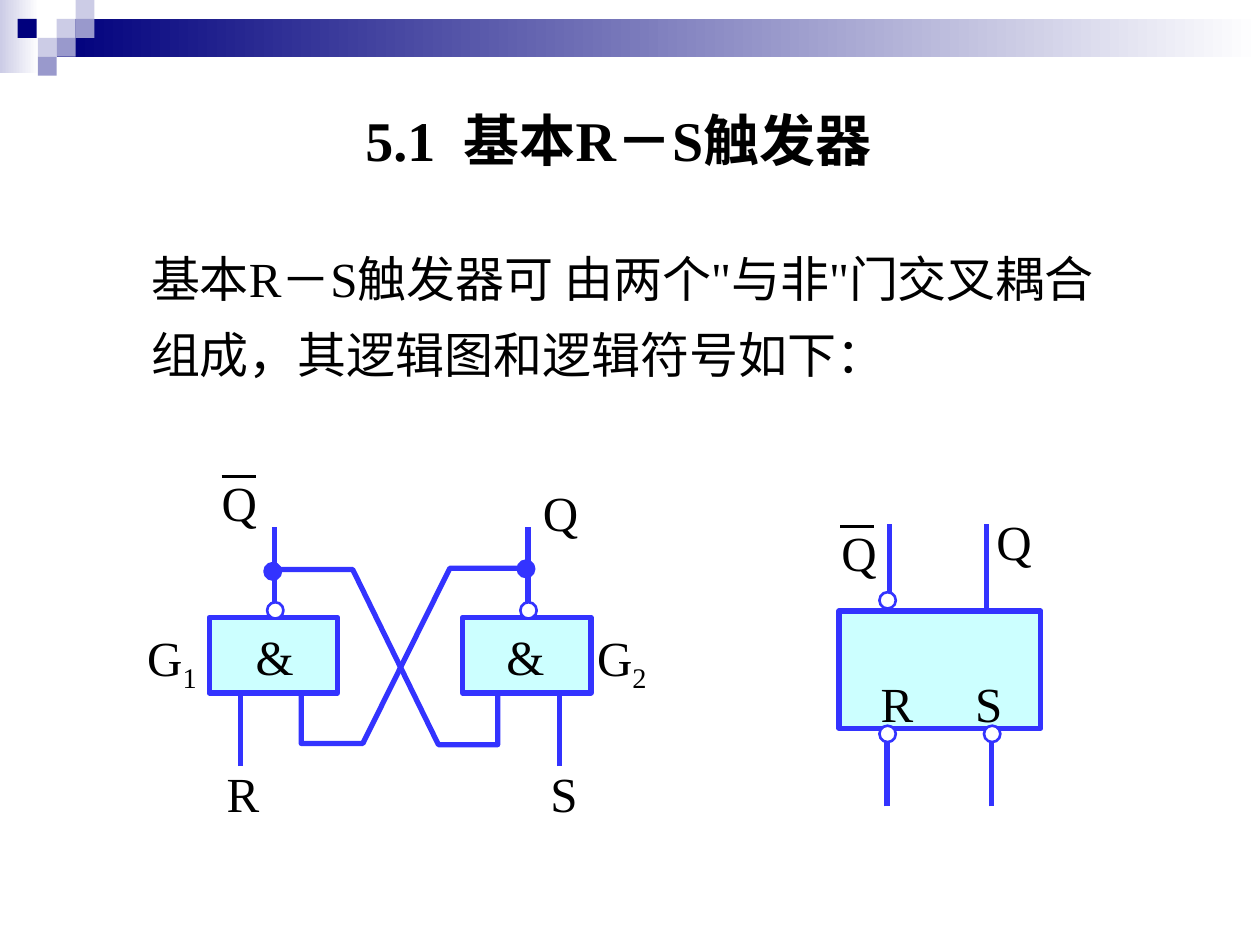
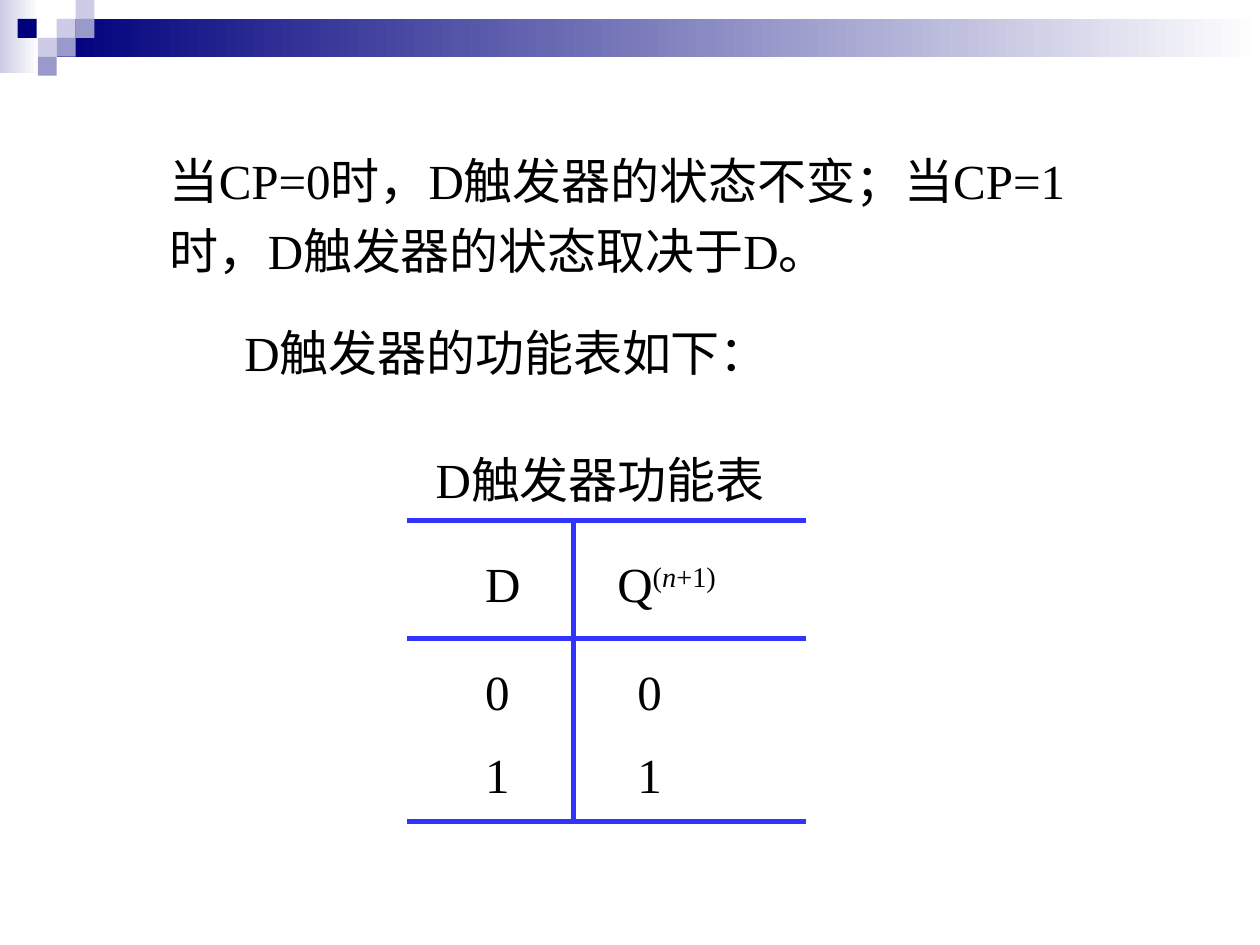
"""Build two slides on the basic R-S flip-flop and the D flip-flop."""
from lxml import etree
from pptx import Presentation
from pptx.dml.color import RGBColor
from pptx.enum import shapes, text
from pptx.oxml import ns
from pptx.util import Inches, Pt

COLORS = {"navy": "00007D", "lilac": "CCCCE6", "violet": "9999CC", "wire": "3333FF",
          "gate": "CCFFFF", "white": "FFFFFF", "ink": "000000"}
FONT = "Times New Roman"
SQUARE = 0.15

BANDS = [((0, 0, 0.31, 0.58), "lilac"), ((0.45, 0.15, 9.55, 0.3), "navy")]
SQUARES = [(0.45, 0.15, "lilac"), (0.6, 0, "lilac"), (0.6, 0.15, "violet"),
           (0.3, 0.3, "lilac"), (0.14, 0.15, "navy"), (0.45, 0.3, "violet"),
           (0.3, 0.45, "violet")]

TITLE = "5.1  基本R－S触发器"
RS_INTRO = "基本R－S触发器可 由两个\"与非\"门交叉耦合组成，其逻辑图和逻辑符号如下："
D_INTRO = "当CP=0时，D触发器的状态不变；当CP=1时，D触发器的状态取决于D。"
D_LEAD = "D触发器的功能表如下："
D_CAPTION = "D触发器功能表"

BOXES = [(1.66, 4.9, 1.02, 0.6), (3.67, 4.9, 1.02, 0.6), (6.66, 4.85, 1.6, 0.93)]
PINS = [(2.18, 4.18, 4.78), (4.19, 4.18, 4.78), (1.91, 5.48, 6.08), (4.44, 5.48, 6.08),
        (7.06, 4.16, 4.76), (7.83, 4.16, 4.86), (7.04, 5.81, 6.4), (7.87, 5.81, 6.4)]
FEEDBACK = [[(2.39, 5.48), (2.39, 5.9), (2.88, 5.9), (3.57, 4.51), (4.21, 4.51)],
            [(3.95, 5.49), (3.95, 5.91), (3.48, 5.91), (2.8, 4.52), (2.18, 4.52)]]
CIRCLES = [(2.12, 4.78, "white"), (4.13, 4.78, "white"), (2.1, 4.47, "wire"),
           (4.11, 4.45, "wire"), (6.98, 4.7, "white"), (6.98, 5.76, "white"),
           (7.81, 5.76, "white")]
OVERBARS = [(1.76, 3.78), (6.67, 4.18)]
LABELS = [("&", 1.93, 4.92, 0.5), ("&", 3.92, 4.92, 0.5),
          ([("G", 0, False), ("1", -25, False)], 1.07, 4.93, 0.59),
          ([("G", 0, False), ("2", -25, False)], 4.64, 4.93, 0.59),
          ("R", 1.7, 6.01, 0.46), ("S", 4.27, 6.01, 0.42),
          ("Q", 1.66, 3.7, 0.48), ("Q", 4.21, 3.78, 0.48),
          ("Q", 6.58, 4.1, 0.48), ("Q", 7.81, 4.01, 0.48),
          ("R", 6.89, 5.3, 0.46), ("S", 7.64, 5.3, 0.41)]

NEXT_STATE = [("Q", 0, False), ("(", 30, False), ("n", 30, True), ("+1)", 30, False)]
FUNCTION_ROWS = [("D", NEXT_STATE), ("0", "0"), ("1", "1")]
ROW_LAYOUT = [(0.94, 0.1, 0), (0.82, 0.06, 0), (0.63, 0, 0.07)]
COLUMN_WIDTHS = [1.32, 1.85]
CELL_INDENTS = [(0.62, 0.35), (0.62, 0.51), (0.62, 0.51)]


def color(name):
    return RGBColor.from_string(COLORS[name])


def write(paragraph, content, size=28, bold=False):
    runs = [(content, 0, False)] if isinstance(content, str) else content
    for words, baseline, italic in runs:
        run = paragraph.add_run()
        run.text = words
        if baseline:
            run._r.get_or_add_rPr().set("baseline", str(baseline * 1000))
        if italic:
            run.font.italic = True
    font = paragraph.font
    font.name, font.size, font.bold = FONT, Pt(size), bold
    font.color.rgb = color("ink")


def add_text(slide, content, left, top, width, height=0.57, spacing=None, wrap=False):
    box = slide.shapes.add_textbox(*map(Inches, (left, top, width, height)))
    frame = box.text_frame
    frame.word_wrap = wrap
    frame.auto_size = text.MSO_AUTO_SIZE.SHAPE_TO_FIT_TEXT
    paragraph = frame.paragraphs[0]
    if spacing:
        paragraph.line_spacing = spacing
    write(paragraph, content)


def add_shape(slide, kind, place, fill, line_width=0):
    shape = slide.shapes.add_shape(kind, *map(Inches, place))
    shape.shadow.inherit = False
    shape.fill.solid()
    shape.fill.fore_color.rgb = color(fill)
    if line_width:
        shape.line.color.rgb = color("wire")
        shape.line.width = Pt(line_width)
    else:
        shape.line.fill.background()
    return shape


def add_line(slide, start, end, line_color="wire", width=3):
    line = slide.shapes.add_connector(shapes.MSO_CONNECTOR.STRAIGHT,
                                      *map(Inches, (*start, *end)))
    line.line.color.rgb = color(line_color)
    line.line.width = Pt(width)
    etree.SubElement(line._element.spPr, ns.qn("a:effectLst"))


def add_feedback(slide, points):
    start, *rest = [(Inches(x), Inches(y)) for x, y in points]
    builder = slide.shapes.build_freeform(*start)
    builder.add_line_segments(rest, close=False)
    wire = builder.convert_to_shape()
    wire.shadow.inherit = False
    wire.fill.background()
    wire.line.color.rgb = color("wire")
    wire.line.width = Pt(3)


def add_header(slide):
    rectangle = shapes.MSO_SHAPE.RECTANGLE
    for place, start in BANDS:
        fill = add_shape(slide, rectangle, place, start).fill
        fill.gradient()
        fill.gradient_angle = 0
        for stop, name in zip(fill.gradient_stops, (start, "white")):
            stop.color.rgb = color(name)
    for left, top, fill_name in SQUARES:
        add_shape(slide, rectangle, (left, top, SQUARE, SQUARE), fill_name)


def set_borders(cell, visible):
    properties = cell._tc.get_or_add_tcPr()
    for side in "LRTB":
        border = etree.SubElement(properties, ns.qn(f"a:ln{side}"), w=str(Pt(3)))
        if side in visible:
            fill = etree.SubElement(border, ns.qn("a:solidFill"))
            etree.SubElement(fill, ns.qn("a:srgbClr"), val=COLORS["wire"])
        else:
            etree.SubElement(border, ns.qn("a:noFill"))


def add_function_table(slide, left, top):
    height = sum(row[0] for row in ROW_LAYOUT)
    place = map(Inches, (left, top, sum(COLUMN_WIDTHS), height))
    table = slide.shapes.add_table(len(FUNCTION_ROWS), len(COLUMN_WIDTHS), *place).table
    table.first_row = table.horz_banding = False
    for column, width in zip(table.columns, COLUMN_WIDTHS):
        column.width = Inches(width)
    row_sides = ["TB", "T", "B"]
    for r, (row_height, above, below) in enumerate(ROW_LAYOUT):
        table.rows[r].height = Inches(row_height)
        for c, content in enumerate(FUNCTION_ROWS[r]):
            cell = table.cell(r, c)
            set_borders(cell, row_sides[r] + "RL"[c])
            cell.fill.background()
            cell.vertical_anchor = text.MSO_ANCHOR.MIDDLE
            cell.margin_left, cell.margin_right = Inches(CELL_INDENTS[r][c]), 0
            cell.margin_top, cell.margin_bottom = Inches(above), Inches(below)
            write(cell.text_frame.paragraphs[0], content)


def build_rs_slide(presentation):
    slide = presentation.slides.add_slide(presentation.slide_layouts[5])
    add_header(slide)
    title = slide.shapes.title
    title.left, title.top, title.width, title.height = map(Inches, (2.8, 0.79, 5.66, 0.64))
    frame = title.text_frame
    frame.auto_size = text.MSO_AUTO_SIZE.NONE
    frame.vertical_anchor = text.MSO_ANCHOR.TOP
    frame.paragraphs[0].alignment = text.PP_ALIGN.LEFT
    write(frame.paragraphs[0], TITLE, 32, True)
    add_text(slide, RS_INTRO, 1.1, 1.78, 7.72, 1.32, 1.3, True)
    for x, top, bottom in PINS:
        add_line(slide, (x, bottom), (x, top))
    for place in BOXES:
        add_shape(slide, shapes.MSO_SHAPE.RECTANGLE, place, "gate", 3)
    for points in FEEDBACK:
        add_feedback(slide, points)
    for left, top, fill in CIRCLES:
        add_shape(slide, shapes.MSO_SHAPE.OVAL, (left, top, 0.13, 0.13), fill, 1.5)
    for x, y in OVERBARS:
        add_line(slide, (x, y), (x + 0.27, y), "ink", 1.5)
    for content, left, top, width in LABELS:
        add_text(slide, content, left, top, width)


def build_d_slide(presentation):
    slide = presentation.slides.add_slide(presentation.slide_layouts[6])
    add_header(slide)
    add_text(slide, D_INTRO, 1.25, 1.05, 7.51, 1.22, 1.2, True)
    add_text(slide, D_LEAD, 1.84, 2.51, 4.45)
    add_text(slide, D_CAPTION, 3.36, 3.52, 3.1, wrap=True)
    add_function_table(slide, 3.23, 4.13)


def main():
    presentation = Presentation()
    presentation.slide_width, presentation.slide_height = Inches(10), Inches(7.5)
    build_rs_slide(presentation)
    build_d_slide(presentation)
    presentation.save("out.pptx")


if __name__ == "__main__":
    main()
